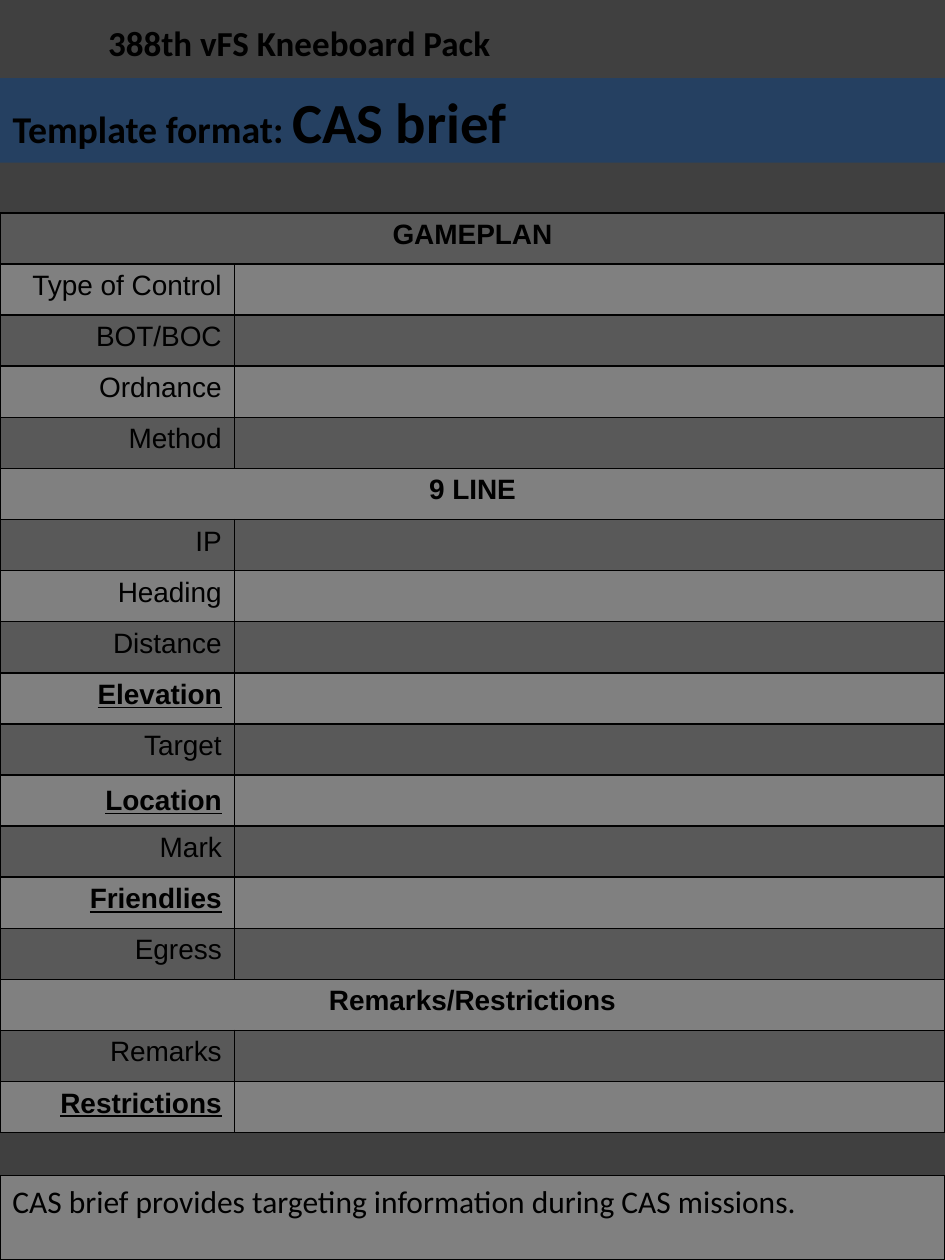
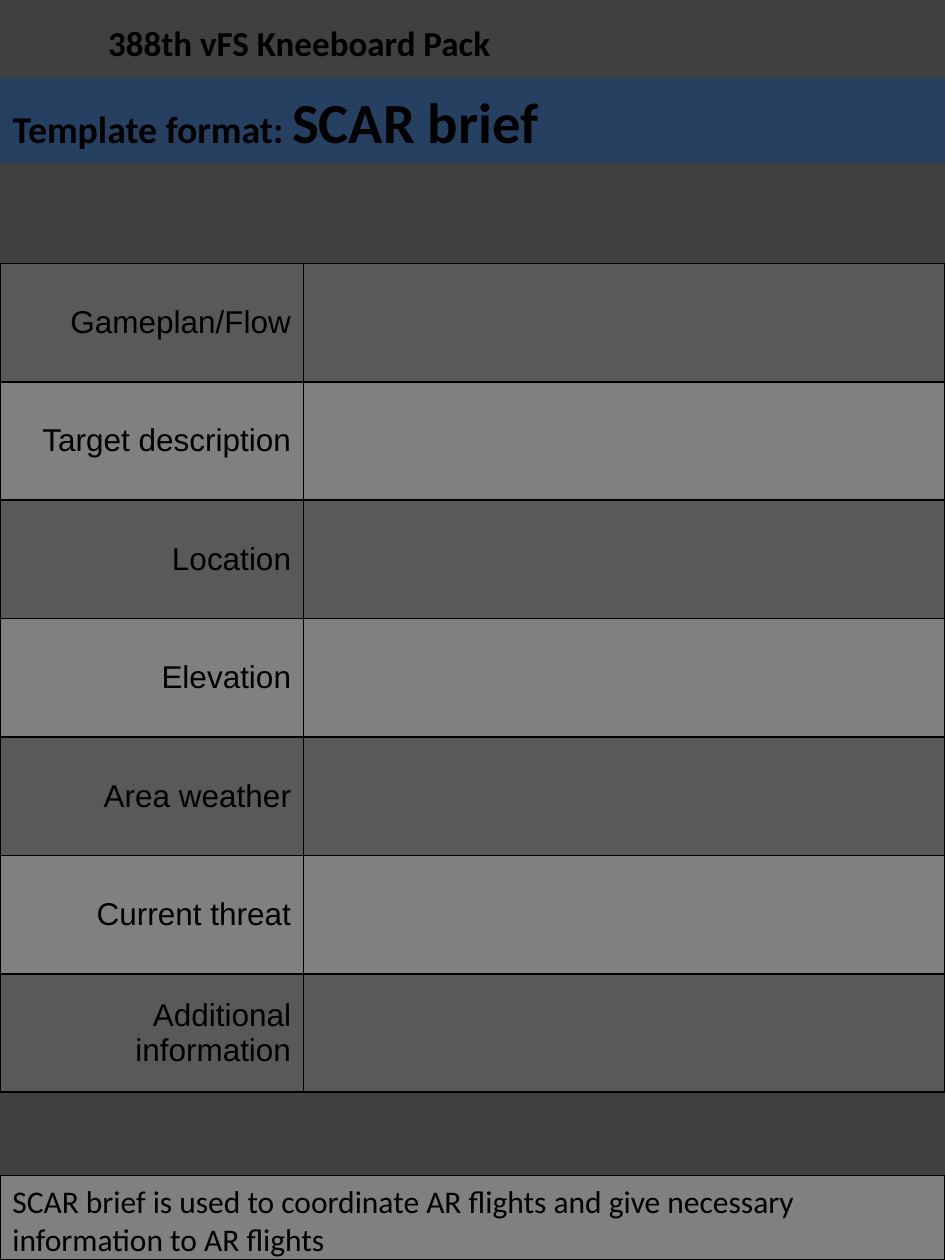
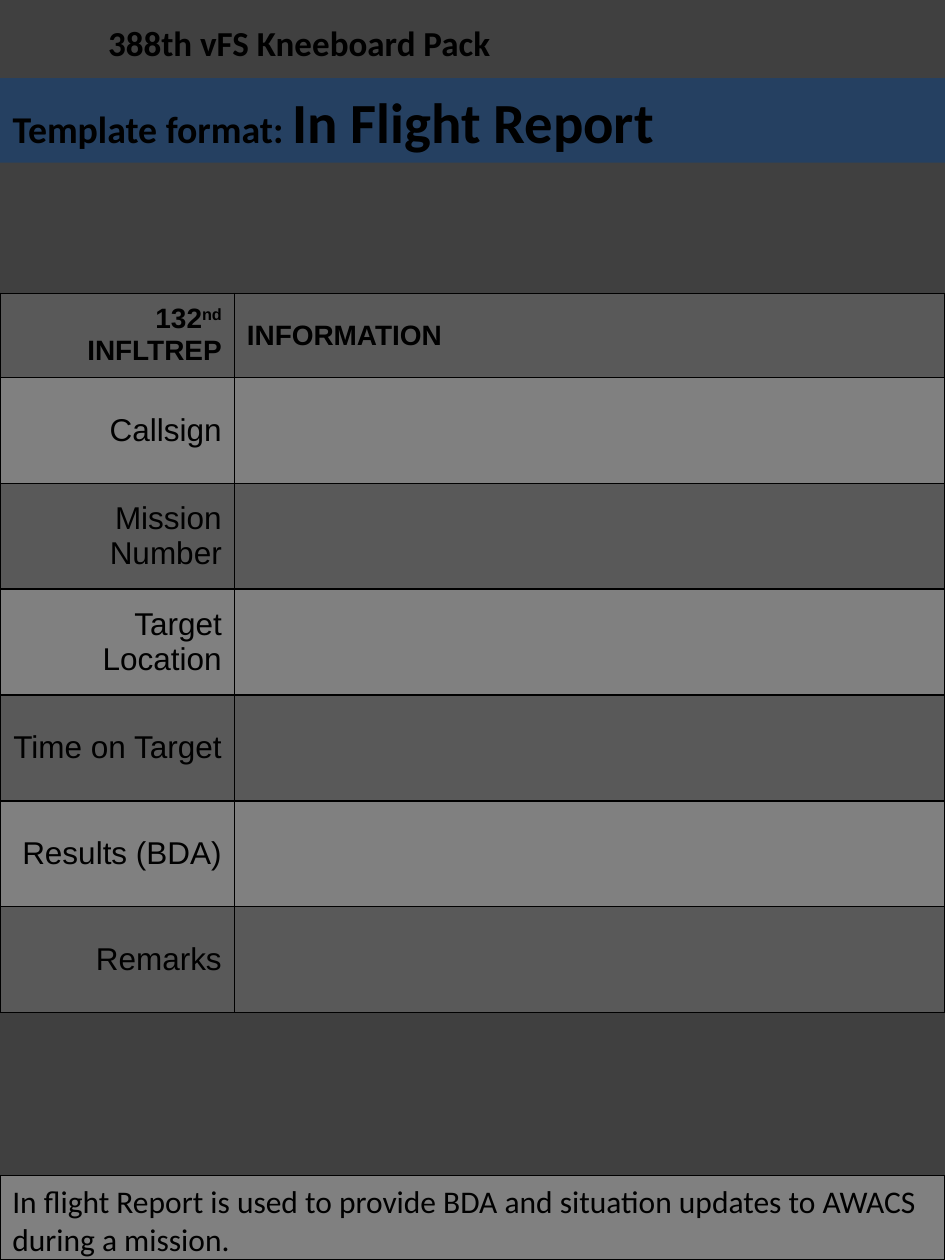
from lxml import etree
from pptx import Presentation
from pptx.dml.color import RGBColor
from pptx.enum.shapes import MSO_SHAPE as Shape
from pptx.enum.text import MSO_ANCHOR as Anchor, MSO_AUTO_SIZE as AutoSize, PP_ALIGN as Align
from pptx.oxml.ns import qn
from pptx.util import Inches, Pt

PAGE_WIDTH, PAGE_HEIGHT = 7.5, 10
BAND_HEIGHT = 0.67


def color(hex_string):
    return RGBColor.from_string(hex_string)


class Kneeboard:
    """Shared style of the kneeboard pages, and the page being built."""
    PAGE, BAND, INK = "404040", "254061", "000000"
    DARK, LIGHT = "595959", "808080"
    HEADING_FONT, TABLE_FONT = "Calibri", "Arial"

    def __init__(self):
        self.deck = Presentation()
        self.deck.slide_width = Inches(PAGE_WIDTH)
        self.deck.slide_height = Inches(PAGE_HEIGHT)
        self.fill(self.deck.slide_master.background, self.PAGE)

    # Formatting helpers
    def fill(self, target, hex_string):
        target.fill.solid()
        target.fill.fore_color.rgb = color(hex_string)

    def style(self, run, size, font, bold=False, underline=False):
        run.font.size = Pt(size)
        run.font.name = font
        run.font.bold = bold
        run.font.underline = underline
        run.font.color.rgb = color(self.INK)

    def border(self, cell):
        properties = cell._tc.get_or_add_tcPr()
        for position, side in enumerate(("lnL", "lnR", "lnT", "lnB")):
            line = etree.Element(qn("a:" + side), w=str(Pt(1)))
            solid = etree.SubElement(line, qn("a:solidFill"))
            etree.SubElement(solid, qn("a:srgbClr"), val=self.INK)
            properties.insert(position, line)

    # Page parts
    def page(self, name, purpose):
        self.slide = self.deck.slides.add_slide(self.deck.slide_layouts[5])
        self.pack_name()
        self.title(name)
        self.footer(purpose)

    def pack_name(self):
        header = self.slide.shapes.add_textbox(
            Inches(0.76), 0, Inches(4.41), Inches(BAND_HEIGHT)).text_frame
        header.word_wrap = True
        header.vertical_anchor = Anchor.MIDDLE
        header.text = "388th vFS Kneeboard Pack"
        self.style(header.paragraphs[0].runs[0], 20, self.HEADING_FONT, bold=True)

    def title(self, name):
        band = self.slide.shapes.title
        band.left, band.top = 0, Inches(0.62)
        band.width, band.height = Inches(PAGE_WIDTH), Inches(BAND_HEIGHT)
        self.fill(band, self.BAND)
        band.text_frame.auto_size = AutoSize.NONE
        band.text_frame.vertical_anchor = Anchor.MIDDLE
        heading = band.text_frame.paragraphs[0]
        heading.alignment = Align.LEFT
        for words, size in (("Template format: ", 21.6), (name, 32.4)):
            run = heading.add_run()
            run.text = words
            self.style(run, size, self.HEADING_FONT, bold=True)

    def footer(self, purpose):
        note = self.slide.shapes.add_shape(
            Shape.RECTANGLE, 0, Inches(PAGE_HEIGHT - BAND_HEIGHT),
            Inches(PAGE_WIDTH), Inches(BAND_HEIGHT))
        note.shadow.inherit = False
        self.fill(note, self.LIGHT)
        note.line.color.rgb = color(self.INK)
        note.line.width = Pt(0.75)
        note.text_frame.word_wrap = True
        note.text_frame.vertical_anchor = Anchor.TOP
        note.text_frame.text = purpose
        paragraph = note.text_frame.paragraphs[0]
        paragraph.alignment = Align.LEFT
        self.style(paragraph.runs[0], 18, self.HEADING_FONT)

    # Form of labels and blanks, in alternating shades
    def form(self, top, label_width, heights):
        form = self.slide.shapes.add_table(
            len(heights), 2, 0, Inches(top),
            Inches(PAGE_WIDTH), Inches(sum(heights))).table
        form.first_row = form.horz_banding = False
        form.columns[0].width = Inches(label_width)
        form.columns[1].width = Inches(PAGE_WIDTH - label_width)
        for index, height in enumerate(heights):
            form.rows[index].height = Inches(height)
            for cell in form.rows[index].cells:
                self.fill(cell, self.LIGHT if index % 2 else self.DARK)
                self.border(cell)
        return form

    def entry(self, cell, text, size, align=Align.RIGHT, anchor=Anchor.MIDDLE, **emphasis):
        cell.vertical_anchor = anchor
        cell.text = text
        paragraph = cell.text_frame.paragraphs[0]
        paragraph.alignment = align
        self.style(paragraph.runs[0], size, self.TABLE_FONT, **emphasis)


board = Kneeboard()

# CAS brief: sections with their lines
CAS_SECTIONS = {
    "GAMEPLAN": ["Type of Control", "BOT/BOC", "Ordnance", "Method"],
    "9 LINE": ["IP", "Heading", "Distance", "Elevation", "Target",
               "Location", "Mark", "Friendlies", "Egress"],
    "Remarks/Restrictions": ["Remarks", "Restrictions"],
}
READ_BACK = {"Elevation", "Location", "Friendlies", "Restrictions"}
cas_lines = [line for section, lines in CAS_SECTIONS.items() for line in (section, *lines)]

board.page("CAS brief", "CAS brief provides targeting information during CAS missions.")
cas_form = board.form(1.69, 1.86, [7.3 / len(cas_lines)] * len(cas_lines))
for row, line in enumerate(cas_lines):
    label = cas_form.cell(row, 0)
    if line in CAS_SECTIONS:
        label.merge(cas_form.cell(row, 1))
        board.entry(label, line, 16, Align.CENTER, Anchor.TOP, bold=True)
    else:
        stressed = line in READ_BACK
        board.entry(label, line, 16, bold=stressed, underline=stressed,
                    anchor=Anchor.MIDDLE if line == "Location" else Anchor.TOP)

# SCAR brief
SCAR_LINES = ["Gameplan/Flow", "Target description", "Location", "Elevation",
              "Area weather", "Current threat", "Additional information"]
board.page("SCAR brief", "SCAR brief is used to coordinate AR flights and give "
                         "necessary information to AR flights")
scar_form = board.form(2.09, 2.41, [0.94] * len(SCAR_LINES))
for row, line in enumerate(SCAR_LINES):
    board.entry(scar_form.cell(row, 0), line, 18)

# In flight report
REPORT_LINES = ["Callsign", "Mission Number", "Target Location",
                "Time on Target", "Results (BDA)", "Remarks"]
board.page("In Flight Report", "In flight Report is used to provide BDA and situation "
                               "updates to AWACS during a mission.")
report_form = board.form(2.33, 1.86, [0.63] + [0.84] * len(REPORT_LINES))
unit = report_form.cell(0, 0)
board.entry(unit, "132", 16, anchor=Anchor.TOP, bold=True)
for words, size in (("nd", 16), (" ", 18), ("INFLTREP", 16)):
    run = unit.text_frame.paragraphs[0].add_run()
    run.text = words
    board.style(run, size, board.TABLE_FONT, bold=True)
    if words == "nd":
        run.font._element.set("baseline", "30000")
board.entry(report_form.cell(0, 1), "INFORMATION", 16, Align.LEFT, bold=True)
for row, line in enumerate(REPORT_LINES, start=1):
    board.entry(report_form.cell(row, 0), line, 18)

board.deck.save("out.pptx")
